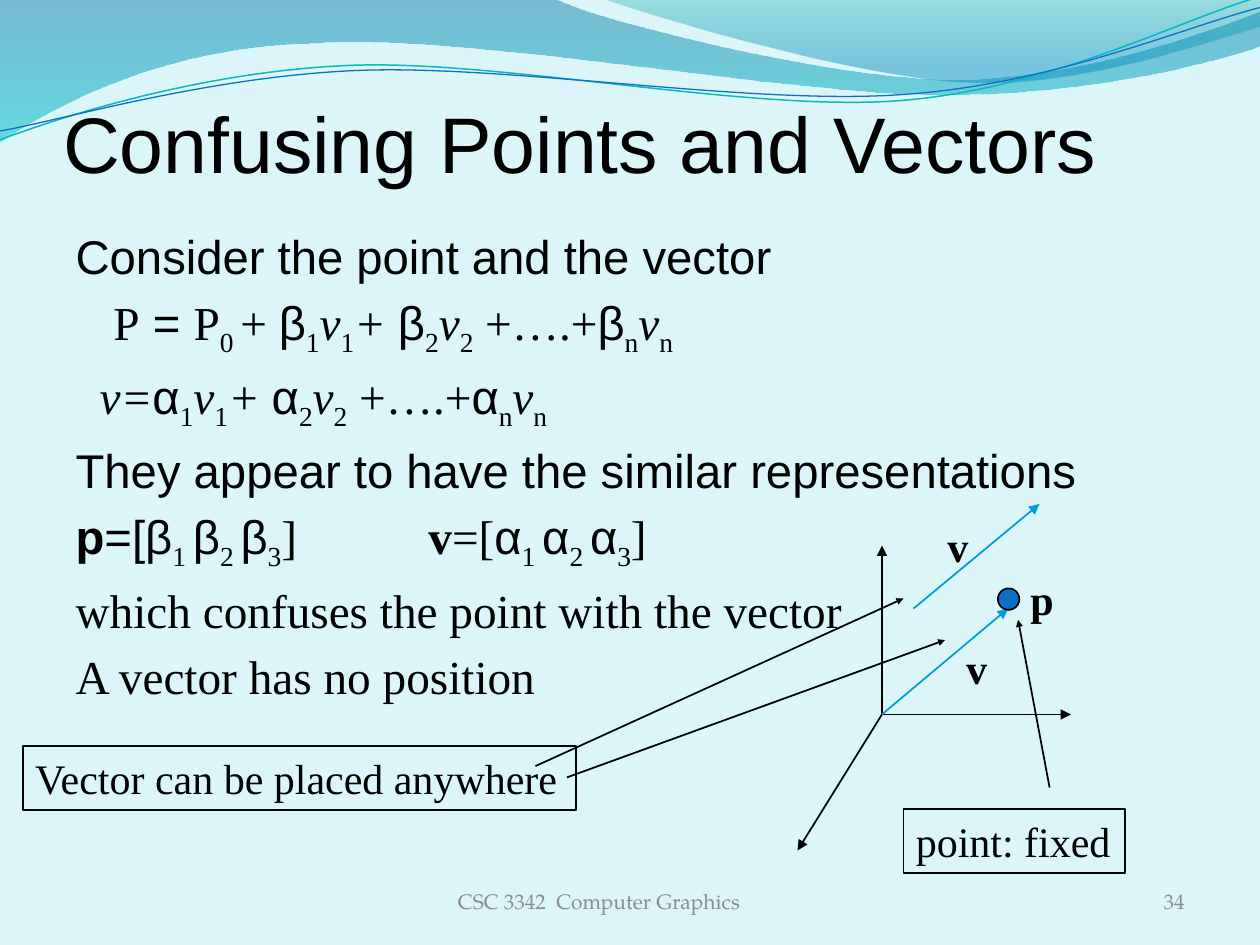
from dataclasses import dataclass

from lxml.etree import SubElement
from pptx import Presentation
from pptx.dml.color import RGBColor
from pptx.enum.shapes import MSO_CONNECTOR as CONN, MSO_SHAPE as SHAPE
from pptx.enum.text import MSO_ANCHOR as ANCHOR, MSO_AUTO_SIZE as AUTO, PP_ALIGN as ALIGN
from pptx.oxml.ns import qn
from pptx.util import Inches, Pt


@dataclass(frozen=True)
class Theme:
    bg: str = "DBF5F9"
    ink: str = "000000"
    grey: str = "8C8C8C"
    blue: str = "0F6FC6"
    teal: str = "0AB8BF"
    vector: str = "009DD9"
    sans: str = "Arial"
    serif: str = "Times New Roman"
    small: str = "TeX Gyre Pagella"
    title: int = 45
    body: int = 27
    label: int = 24
    footer: int = 12


T = Theme()

# Waves: start point, then Bezier triples (6 numbers) or straight points (2 numbers)
WAVE_FILLS = [
    ([(0, 0), (4.4, -0.01), (4.76, 0.17, 6.64, 0.63, 7.58, 0.63),
      (8.53, 0.63, 9.58, 0.26, 10, 0.09), (10.01, 0.36),
      (9.83, 0.44, 8.7, 0.76, 7.46, 0.75), (6.22, 0.75, 3.82, 0.28, 2.57, 0.34),
      (1.29, 0.36, 0.46, 0.83, -0.01, 1.13), (0, 0)],
     [(0, "0074A1", 45), (100, "00C6CF", 55)]),
    ([(4.79, -0.01), (5.09, 0.11, 6.82, 0.62, 7.69, 0.65),
      (8.56, 0.69, 9.61, 0.32, 10, 0.21), (10, 0), (4.79, -0.01)],
     [(0, "00A1A9", 30), (80, "008BBF", 45)]),
]
WAVE_LINES = [
    ([(0, 1.11), (0.48, 0.93, 1.58, 0.57, 2.77, 0.52),
      (3.95, 0.47, 5.93, 0.89, 7.13, 0.8), (8.33, 0.71, 9.38, 0.15, 9.98, -0.02)],
     T.teal, 0.85),
    ([(0, 1.04), (0.47, 0.96, 1.64, 0.61, 2.83, 0.56),
      (4.03, 0.51, 5.97, 0.84, 7.17, 0.75), (8.36, 0.67, 9.41, 0.21, 10, 0.06)],
     T.blue, 0.75),
]


def rgb(color):
    return RGBColor.from_string(color)


def set_line(shape, color=T.ink, width=1):
    shape.line.color.rgb, shape.line.width = rgb(color), Pt(width)


def add_run(p, text, size=T.label, font=T.serif, color=T.ink, bold=False,
            italic=False, sub=False):
    r = p.add_run()
    r.text = text
    f = r.font
    f.size, f.name, f.bold, f.italic = Pt(size), font, bold, italic
    f.color.rgb = rgb(color)
    if sub:
        r._r.get_or_add_rPr().set("baseline", "-25000")


def place(shape, left, top, width, height):
    shape.left, shape.top = Inches(left), Inches(top)
    shape.width, shape.height = Inches(width), Inches(height)


def add_outline(s, points, close):
    """Build the outline through its end points, then bend the curved pieces."""
    start, *segs = points
    fb = s.shapes.build_freeform(*map(Inches, start))
    fb.add_line_segments([tuple(map(Inches, seg[-2:])) for seg in segs], close=close)
    sp = fb.convert_to_shape()
    sp.shadow.inherit = False
    for piece, seg in zip(list(sp._element.iter(qn("a:lnTo"))), segs):
        if len(seg) == 6:
            curve = piece.makeelement(qn("a:cubicBezTo"))
            for x, y in zip(seg[::2], seg[1::2]):
                SubElement(curve, qn("a:pt"), x=str(Inches(x) - sp.left),
                           y=str(Inches(y) - sp.top))
            piece.getparent().replace(piece, curve)
    return sp


def add_wave_fill(s, points, stops):
    sp = add_outline(s, points, True)
    sp.line.fill.background()
    sp.fill.gradient()
    grad = sp._element.spPr.find(qn("a:gradFill"))
    for child in list(grad):
        grad.remove(child)
    stop_list = SubElement(grad, qn("a:gsLst"))
    for pos, color, opacity in stops:
        gs = SubElement(stop_list, qn("a:gs"), pos=str(pos * 1000))
        clr = SubElement(gs, qn("a:srgbClr"), val=color)
        SubElement(clr, qn("a:alpha"), val=str(opacity * 1000))
    SubElement(grad, qn("a:lin"), ang=str(90 * 60000), scaled="0")
    return sp


def add_wave_line(s, points, color, width):
    sp = add_outline(s, points, False)
    sp.fill.background()
    set_line(sp, color, width)
    return sp


def add_arrow(s, start, end, color=T.ink, head="med"):
    c = s.shapes.add_connector(CONN.STRAIGHT, *map(Inches, start + end))
    set_line(c, color)
    spPr = c._element.spPr
    SubElement(spPr.find(qn("a:ln")), qn("a:tailEnd"), type="triangle", w=head, len=head)
    SubElement(spPr, qn("a:effectLst"))


def add_label(s, text, box, wrap=False, align=ALIGN.LEFT, anchor=ANCHOR.TOP,
              border=False, **fmt):
    box = [Inches(v) for v in box]
    if border:
        sp = s.shapes.add_shape(SHAPE.RECTANGLE, *box)
        sp.shadow.inherit = False
        sp.fill.background()
        set_line(sp)
    else:
        sp = s.shapes.add_textbox(*box)
    tf = sp.text_frame
    tf.word_wrap, tf.vertical_anchor = wrap, anchor
    p = tf.paragraphs[0]
    p.alignment = align
    add_run(p, text, **fmt)


def add_body_line(p, runs, margin=0.3, indent=-0.3):
    """Runs are (text, flags): a sans font, s subscript, i italic, b bold."""
    pPr = p._p.get_or_add_pPr()
    pPr.set("marL", str(Inches(margin)))
    pPr.set("indent", str(Inches(indent)))
    SubElement(pPr, qn("a:buNone"))
    for text, flags in runs:
        add_run(p, text, size=T.body, font=T.sans if "a" in flags else T.serif,
                bold="b" in flags, italic="i" in flags, sub="s" in flags)


def linear_sum(letter):
    return [(letter, "a"), ("1", "s"), ("v", "i"), ("1", "s"), ("+ ", "i"),
            (letter, "a"), ("2", "s"), ("v", "i"), ("2", "s"), (" +….+", ""),
            (letter, "a"), ("n", "s"), ("v", "i"), ("n", "s")]


def components(letter):
    return [(letter, "a"), ("1 ", "s"), (letter, "a"), ("2 ", "s"),
            (letter, "a"), ("3", "s"), ("]", "")]


def fill_placeholders(s):
    title, body = s.placeholders
    place(title, 0.5, 0.33, 8.67, 1.17)
    tf = title.text_frame
    tf.margin_left = tf.margin_right = tf.margin_bottom = 0
    tf.vertical_anchor, tf.auto_size = ANCHOR.BOTTOM, AUTO.NONE
    tf.paragraphs[0].alignment = ALIGN.LEFT
    add_run(tf.paragraphs[0], "Confusing Points and Vectors", size=T.title, font=T.sans)

    place(body, 0.5, 1.75, 9, 4.97)
    tf = body.text_frame
    tf.auto_size = AUTO.NONE
    lines = [
        ([("Consider the point and the vector", "a")], {}),
        ([("\tP", ""), (" = ", "a"), ("P", ""), ("0 ", "s"), ("+ ", "")]
         + linear_sum("β"), {}),
        ([("v=", "i")] + linear_sum("α"), dict(margin=0.19, indent=0)),
        ([("They appear to have the similar representations", "a")], {}),
        # Default tab stops carry the second bracket to its column
        ([("p", "ab"), ("=[", "a")] + components("β")
         + [("\t\t\tv", "b"), ("=[", "")] + components("α"), {}),
        ([("which confuses the point with the vector", "")], {}),
        ([("A vector has no position", "")], {}),
    ]
    for i, (runs, layout) in enumerate(lines):
        add_body_line(tf.add_paragraph() if i else tf.paragraphs[0], runs, **layout)


def main():
    prs = Presentation()
    prs.slide_width, prs.slide_height = Inches(10), Inches(7.5)
    s = prs.slides.add_slide(prs.slide_layouts[1])
    s.background.fill.solid()
    s.background.fill.fore_color.rgb = rgb(T.bg)

    # Waves, sent behind the text
    waves = [add_wave_fill(s, *w) for w in WAVE_FILLS]
    waves += [add_wave_line(s, *w) for w in WAVE_LINES]
    for i, wave in enumerate(waves):
        s.shapes._spTree.insert(2 + i, wave._element)

    fill_placeholders(s)

    # Axes and the two equal vectors
    origin = (7, 5.67)
    for end in [(8.5, 5.67), (7, 4.33), (6.33, 6.75)]:
        add_arrow(s, origin, end)
    add_arrow(s, origin, (8, 4.83), T.vector)
    add_arrow(s, (7.25, 4.83), (8.25, 4), T.vector)
    for text, left, top in [("v", 7.57, 5.05), ("p", 8.08, 4.5), ("v", 7.42, 4.08)]:
        add_label(s, text, (left, top, 0.38, 0.5), bold=True)

    # Callouts and the point
    for start, end in [((4.25, 6.08), (7.17, 4.75)), ((4.5, 6.17), (7.5, 5.08)),
                       ((8.33, 6.25), (8.08, 4.92))]:
        add_arrow(s, start, end, head="sm")
    add_label(s, "Vector can be placed anywhere", (0.18, 5.92, 4.39, 0.51), border=True)
    add_label(s, "point: fixed", (7.17, 6.42, 1.76, 0.51), border=True)
    dot = s.shapes.add_shape(SHAPE.OVAL, *map(Inches, (7.92, 4.67, 0.17, 0.17)))
    dot.shadow.inherit = False
    dot.fill.solid()
    dot.fill.fore_color.rgb = rgb(T.blue)
    set_line(dot)

    # Footer
    for text, left, width, align in [("CSC 3342  Computer Graphics", 2.92, 3.67, ALIGN.CENTER),
                                     ("34", 7.17, 2.33, ALIGN.RIGHT)]:
        add_label(s, text, (left, 6.95, width, 0.4), wrap=True, align=align,
                  anchor=ANCHOR.MIDDLE, size=T.footer, font=T.small, color=T.grey)

    prs.save("out.pptx")


if __name__ == "__main__":
    main()
